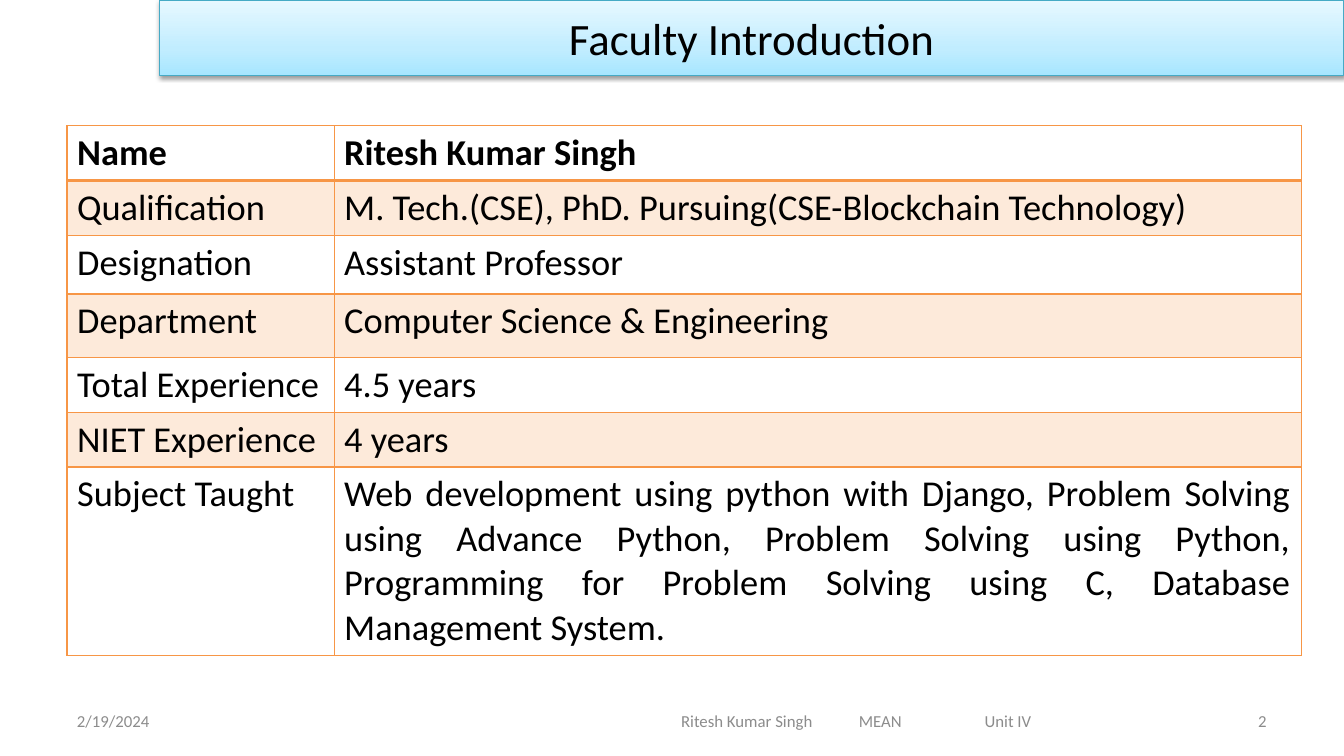
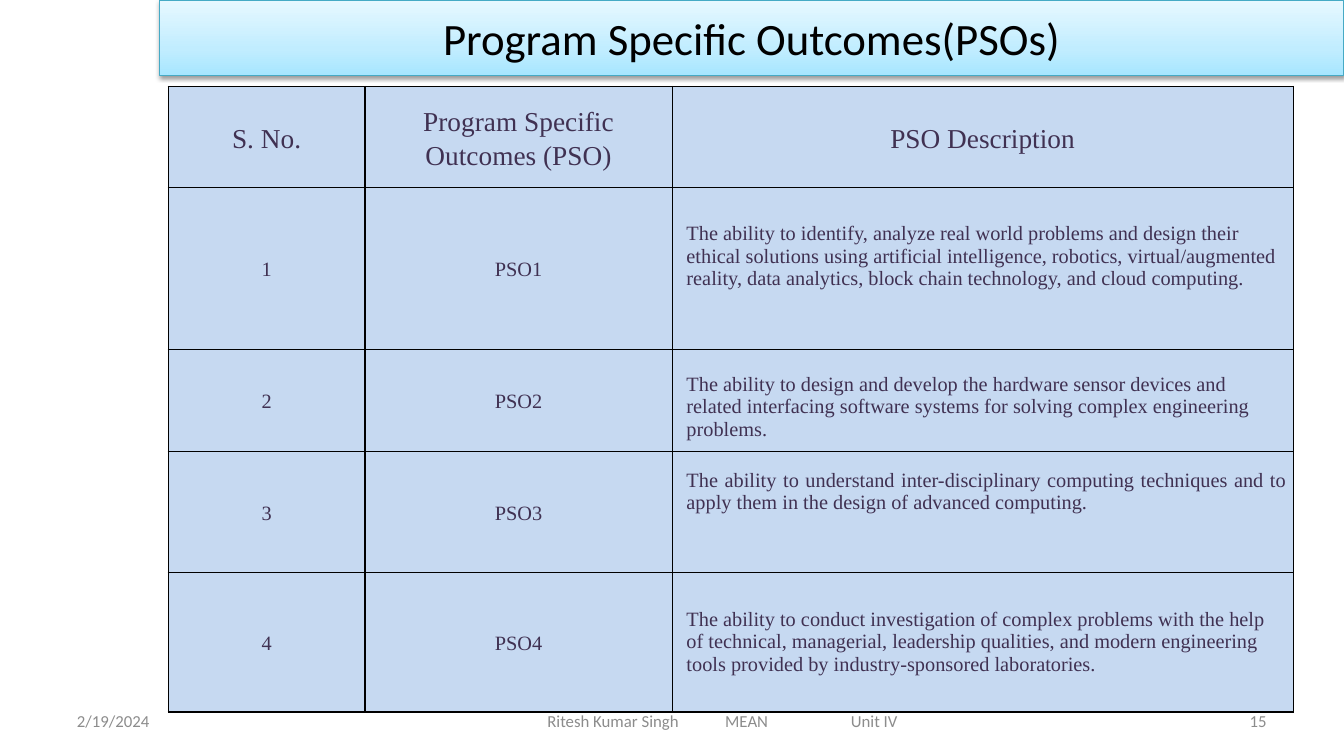
from pptx import Presentation
from pptx.dml.color import RGBColor
from pptx.enum.text import MSO_ANCHOR, PP_ALIGN
from pptx.oxml import parse_xml
from pptx.oxml.ns import nsdecls
from pptx.util import Cm, Pt

LEFT, MID, RIGHT, JUST = (PP_ALIGN.LEFT, PP_ALIGN.CENTER,
                          PP_ALIGN.RIGHT, PP_ALIGN.JUSTIFY)
TOP, CENTRE = MSO_ANCHOR.TOP, MSO_ANCHOR.MIDDLE

HUES = {
    "ink": "000000", "grey": "8C8C8C", "plum": "403152",
    "edge": "46AAC5", "low": "A7E6FF", "mid": "C1EDFF", "high": "E7F8FF",
    "white": "FFFFFF", "orange": "F79646", "peach": "FDEADA",
    "blue": "C6D9F1",
}
SANS, SERIF = "Calibri", "Times New Roman"


def node(tag, body, attrs=""):
    return parse_xml(f"<a:{tag} {nsdecls('a')} {attrs}>{body}</a:{tag}>")


def hue(name, body=""):
    return f'<a:srgbClr val="{HUES[name]}">{body}</a:srgbClr>'


class Deck:
    """Holds the shared style and the current slide."""

    def __init__(self):
        self.prs = Presentation()
        self.prs.slide_width, self.prs.slide_height = Cm(33.87), Cm(19.05)
        self.slide = None

    def start(self, title, number, left, width):
        """Add a slide with its title band and footer."""
        self.slide = self.prs.slides.add_slide(self.prs.slide_layouts[5])
        self.band(title)
        self.foot("2/19/2024", 1.69, 7.9, LEFT)
        self.mark(["Ritesh Kumar Singh", "MEAN", "Unit IV"], left, width)
        self.foot(number, 24.27, 7.9, RIGHT)

    def text(self, frame, lines, size, font, color, align=LEFT,
             bold=False, gap=None):
        for i, line in enumerate(lines):
            para = frame.paragraphs[0] if i == 0 else frame.add_paragraph()
            para.alignment = align
            if gap:
                para.line_spacing = gap
            run = para.add_run()
            run.text = line
            run.font.size, run.font.name = Pt(size), font
            run.font.bold = bold
            run.font.color.rgb = RGBColor.from_string(HUES[color])

    def band(self, text):
        shape = self.slide.shapes.title
        shape.left, shape.top = Cm(4.02), Cm(0)
        shape.width, shape.height = Cm(29.85), Cm(1.9)
        # Gradient, outline and soft shadow
        stops = "".join(f'<a:gs pos="{pos}">{hue(name)}</a:gs>' for pos, name
                        in ((0, "low"), (35000, "mid"), (100000, "high")))
        props = shape.element.spPr
        props.append(node("gradFill", f"<a:gsLst>{stops}</a:gsLst>"
                          '<a:lin ang="16200000" scaled="0"/>'))
        shape.line.color.rgb = RGBColor.from_string(HUES["edge"])
        shape.line.width = Pt(0.75)
        shade = hue("ink", '<a:alpha val="38000"/>')
        props.append(node("effectLst", '<a:outerShdw blurRad="40000" '
                          'dist="20000" dir="5400000" rotWithShape="0">'
                          f"{shade}</a:outerShdw>"))
        shape.text_frame.vertical_anchor = CENTRE
        self.text(shape.text_frame, [text], 32, SANS, "ink", MID)

    def foot(self, text, left, width, align):
        box = self.slide.shapes.add_textbox(Cm(left), Cm(17.65),
                                            Cm(width), Cm(1.01))
        frame = box.text_frame
        frame.word_wrap = True
        frame.vertical_anchor = CENTRE
        self.text(frame, [text], 12, SANS, "grey", align)
        return frame

    def mark(self, parts, left, width):
        """Centre the footer parts as a group, set apart by tab stops."""
        frame = self.foot("\t".join(parts), left, width, LEFT)
        frame.margin_left = Cm((width - 8.84) / 2)
        frame.margin_right = Cm(0)
        tabs = "".join(f'<a:tab pos="{Cm(pos)}" algn="l"/>'
                       for pos in (4.48, 7.65))
        props = frame.paragraphs[0]._p.get_or_add_pPr()
        props.append(node("tabLst", tabs))

    def table(self, left, top, cols, rows):
        frame = self.slide.shapes.add_table(
            len(rows), len(cols), Cm(left), Cm(top),
            Cm(sum(cols)), Cm(sum(rows)))
        grid = frame.table
        grid.first_row = grid.horz_banding = False
        for col, width in zip(grid.columns, cols):
            col.width = Cm(width)
        for row, height in zip(grid.rows, rows):
            row.height = Cm(height)
        return grid

    def cell(self, cell, lines, fill, line, thick=1, pad=None,
             anchor=TOP, **style):
        props = cell._tc.get_or_add_tcPr()
        for side in "LRTB":
            size = Pt(thick if side == "B" else 1)
            props.append(node(f"ln{side}",
                              f"<a:solidFill>{hue(line)}</a:solidFill>",
                              f'w="{size}"'))
        cell.fill.solid()
        cell.fill.fore_color.rgb = RGBColor.from_string(HUES[fill])
        cell.vertical_anchor = anchor
        if pad:
            (cell.margin_left, cell.margin_top,
             cell.margin_right, cell.margin_bottom) = map(Cm, pad)
        self.text(cell.text_frame, lines, **style)


def staff(deck):
    deck.start("Faculty Introduction", "2", 11, 21.17)
    data = [
        ("Name", "Ritesh Kumar Singh"),
        ("Qualification",
         "M. Tech.(CSE), PhD. Pursuing(CSE-Blockchain Technology)"),
        ("Designation", "Assistant Professor"),
        ("Department", "Computer Science & Engineering"),
        ("Total Experience", "4.5 years"),
        ("NIET Experience", "4 years"),
        ("Subject Taught",
         "Web development using python with Django, Problem Solving using "
         "Advance Python, Problem Solving using Python, Programming for "
         "Problem Solving using C, Database Management System."),
    ]
    grid = deck.table(1.69, 3.17, [6.73, 24.38],
                      [1.38, 1.38, 1.48, 1.6, 1.38, 1.38, 4.75])
    for r, row in enumerate(data):
        for c, text in enumerate(row):
            last = r == len(data) - 1 and c == 1
            deck.cell(grid.cell(r, c), [text],
                      "peach" if r % 2 else "white", "orange",
                      thick=1 if r else 2, size=26, font=SANS, color="ink",
                      align=JUST if last else LEFT, bold=r == 0)


def goals(deck):
    deck.start("Program Specific Outcomes(PSOs)", "15", 11.23, 13.97)
    heads = [["S. No."], ["Program Specific", "Outcomes (PSO)"],
             ["PSO Description"]]
    # Top inset, alignment and text of each description
    data = [
        (0.89, LEFT,
         "The ability to identify, analyze real world problems and design "
         "their ethical solutions using artificial intelligence, robotics, "
         "virtual/augmented reality, data analytics, block chain "
         "technology, and cloud computing."),
        (0.6, LEFT,
         "The ability to design and develop the hardware sensor devices and "
         "related interfacing software systems for solving complex "
         "engineering problems."),
        (0.45, JUST,
         "The ability to understand inter-disciplinary computing techniques "
         "and to apply them in the design of advanced computing."),
        (0.9, LEFT,
         "The ability to conduct investigation of complex problems with the "
         "help of technical, managerial, leadership qualities, and modern "
         "engineering tools provided by industry-sponsored laboratories."),
    ]
    grid = deck.table(4.24, 2.18, [4.96, 7.74, 15.65],
                      [2.54, 4.08, 2.57, 3.05, 3.52])
    look = {"fill": "blue", "line": "ink", "font": SERIF, "color": "plum"}
    core = {"pad": (0.18, 0, 0.18, 0), "anchor": CENTRE, "align": MID,
            "gap": 1.15, **look}
    for c, lines in enumerate(heads):
        deck.cell(grid.cell(0, c), lines, size=19.5, **core)
    for r, (inset, align, text) in enumerate(data, 1):
        for c, label in enumerate((str(r), f"PSO{r}")):
            deck.cell(grid.cell(r, c), [label], size=14.5, **core)
        deck.cell(grid.cell(r, 2), [text], size=14.5, align=align,
                  pad=(0.36, inset, 0.18, 0), **look)


def main():
    deck = Deck()
    staff(deck)
    goals(deck)
    deck.prs.save("out.pptx")


if __name__ == "__main__":
    main()
